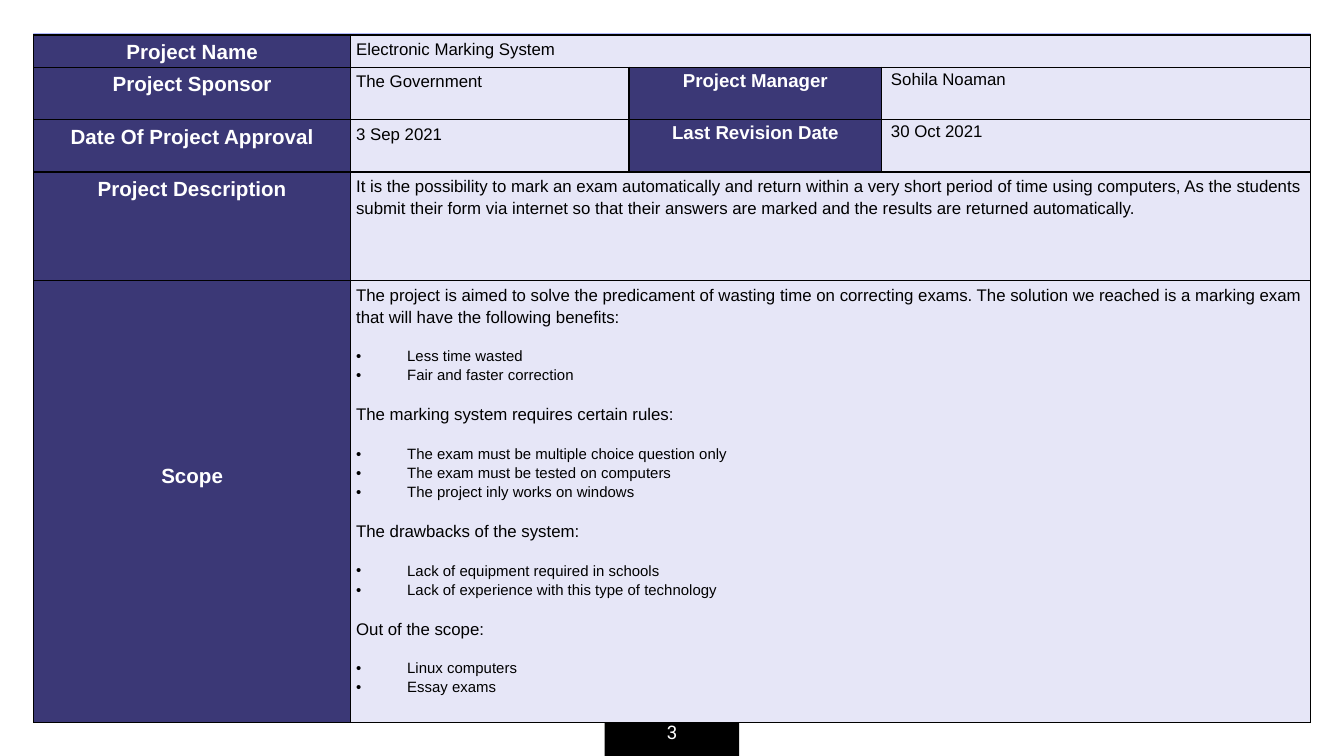
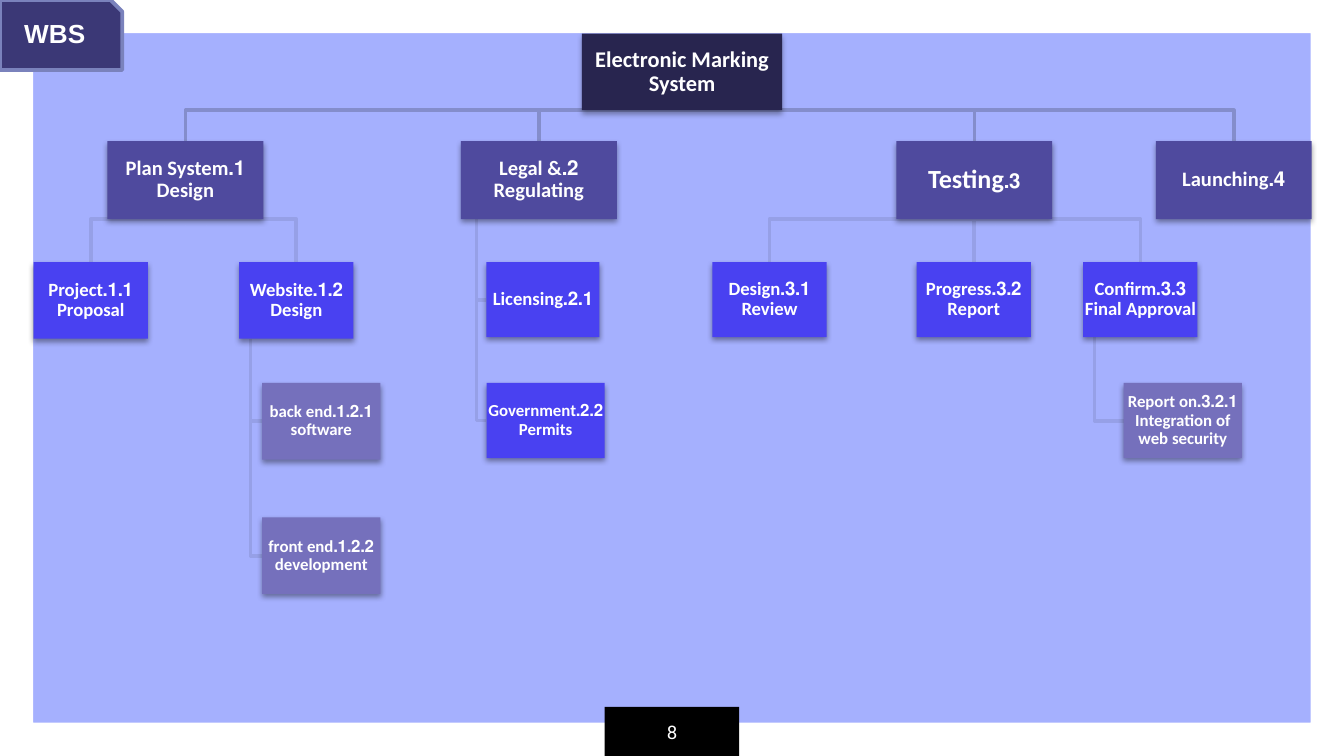
"""Builds the project charter and work breakdown slides of the marking system deck."""
import pptx
import pptx.util
import pptx.dml.color
import pptx.enum.shapes
import pptx.enum.text
import pptx.oxml
import pptx.oxml.ns
import lxml.etree

Inches, Pt = pptx.util.Inches, pptx.util.Pt
RGB = pptx.dml.color.RGBColor
SHAPE = pptx.enum.shapes.MSO_SHAPE
ALIGN = pptx.enum.text.PP_ALIGN
ANCHOR = pptx.enum.text.MSO_ANCHOR
qn = pptx.oxml.ns.qn

WIDTH = 10
HEIGHT = WIDTH * 9 / 16
WHITE, BLACK = RGB(255, 255, 255), RGB(0, 0, 0)
PERIWINKLE = RGB(0xA5, 0xB0, 0xFE)
INDIGO = RGB(0x3B, 0x38, 0x76)
LAVENDER = RGB(0xE6, 0xE6, 0xF7)
TAB_EDGE = RGB(0x7A, 0x82, 0xBC)
TRUNK, BRANCH = RGB(0x84, 0x8D, 0xCB), RGB(0x96, 0xA0, 0xE7)

COLUMNS = (2.36, 2.07, 1.88, 3.19)
ROWS = (0.24, 0.39, 0.39, 0.81, 3.29)
SCOPE = (
    ("The project is aimed to solve the predicament of wasting time on correcting exams. "
     "The solution we reached is a marking exam that will have the following benefits:",
     ("Less time wasted", "Fair and faster correction")),
    ("The marking system requires certain rules:",
     ("The exam must be multiple choice question only",
      "The exam must be tested on computers",
      "The project inly works on windows")),
    ("The drawbacks of the system:",
     ("Lack of equipment required in schools",
      "Lack of experience with this type of technology")),
    ("Out of the scope:", ("Linux computers", "Essay exams")),
)
CHARTER = (
    ("Project Name", "Electronic Marking System"),
    ("Project Sponsor", "The Government", "Project Manager", "Sohila Noaman"),
    ("Date Of Project Approval", "3 Sep 2021", "Last Revision Date", "30 Oct 2021"),
    ("Project Description",
     "It is the possibility to mark an exam automatically and return within a very short "
     "period of time using computers, As the students submit their form via internet so that "
     "their answers are marked and the results are returned automatically."),
    ("Scope", SCOPE),
)

ROW_TOPS = (0.25, 1.05, 1.95, 2.85, 3.85)
LEVELS = (
    {"width": 1.49, "height": 0.57, "size": 12, "fill": RGB(0x28, 0x25, 0x4F)},
    {"width": 1.16, "height": 0.58, "size": 11, "fill": RGB(0x4F, 0x4A, 0x9E)},
    {"width": 0.85, "height": 0.56, "size": 10, "fill": RGB(0x49, 0x41, 0xF1)},
    {"width": 0.88, "height": 0.56, "size": 9, "fill": RGB(0x75, 0x70, 0xBC)},
)
TALL = {"height": 0.57}
HANGING_PARENTS = ("2", "1.2", "3.3")
TASKS = {
    "": ("Electronic Marking System", 4.33, 0, {}),
    "1": ("Plan System Design", 0.8, 1, {}),
    "1.1": ("Project Proposal", 0.25, 2, TALL),
    "1.2": ("Website Design", 1.78, 2, TALL),
    "1.2.1": ("back end software", 1.95, 3, TALL),
    "1.2.2": ("front end development", 1.95, 4, TALL),
    "2": ("Legal & Regulating", 3.43, 1, {}),
    "2.1": ("Licensing", 3.62, 2, {"width": 0.84}),
    "2.2": ("Government Permits", 3.62, 3, {"width": 0.88, "size": 9}),
    "3": ("Testing", 6.67, 1, {"label_size": 14}),
    "3.1": ("Design Review", 5.3, 2, {}),
    "3.2": ("Progress Report", 6.82, 2, {}),
    "3.3": ("Confirm Final Approval", 8.06, 2, {}),
    "3.2.1": ("Report on Integration of web security", 8.36, 3, {"parent": "3.3"}),
    "4": ("Launching", 8.6, 1, {}),
}


def apply(target, **values):
    for attribute, value in values.items():
        setattr(target, attribute, value)


def inset(holder, left, top, right, bottom):
    apply(holder, margin_left=Inches(left), margin_top=Inches(top),
          margin_right=Inches(right), margin_bottom=Inches(bottom))


def write(paragraph, text, size, color, font="Arial", bold=False):
    run = paragraph.add_run()
    run.text = text
    apply(run.font, name=font, size=Pt(size), bold=bold)
    run.font.color.rgb = color


def add_block(slide, preset, box, fill, edge=None):
    block = slide.shapes.add_shape(preset, *map(Inches, box))
    block.shadow.inherit = False
    block.fill.solid()
    block.fill.fore_color.rgb = fill
    if edge:
        block.line.color.rgb = edge
        block.line.width = Pt(2)
    else:
        block.line.fill.background()
    return block


def add_slide(deck, layout, number):
    slide = deck.slides.add_slide(deck.slide_layouts[layout])
    slide.background.fill.solid()
    slide.background.fill.fore_color.rgb = PERIWINKLE
    frame = add_block(slide, SHAPE.FRAME, (0, 0, WIDTH, HEIGHT), WHITE)
    frame.adjustments[0] = 0.044
    page = add_block(slide, SHAPE.RECTANGLE, (4.5, 5.26, 1, 0.37), BLACK)
    inset(page.text_frame, 0.1, 0.1, 0.1, 0.1)
    page.text_frame.vertical_anchor = ANCHOR.MIDDLE
    line = page.text_frame.paragraphs[0]
    line.alignment = ALIGN.CENTER
    write(line, str(number), 10, WHITE, "Roboto")
    return slide


def add_bullet(paragraph):
    properties = paragraph._p.get_or_add_pPr()
    properties.set("marL", str(Inches(0.38)))
    properties.set("indent", str(-Inches(0.38)))
    lxml.etree.SubElement(properties, qn("a:buFont")).set("typeface", "Arial")
    lxml.etree.SubElement(properties, qn("a:buChar")).set("char", "•")


def outline(cell):
    properties = cell._tc.get_or_add_tcPr()
    for place, side in enumerate(("lnL", "lnR", "lnT", "lnB")):
        properties.insert(place, pptx.oxml.parse_xml(
            f'<a:{side} {pptx.oxml.ns.nsdecls("a")} w="{Pt(0.75)}"><a:solidFill>'
            f'<a:srgbClr val="{BLACK}"/></a:solidFill></a:{side}>'))


def fill_cell(cell, content, column):
    heading = column % 2 == 0
    cell.fill.solid()
    cell.fill.fore_color.rgb = INDIGO if heading else LAVENDER
    if column < 2:
        inset(cell, 0.04, 0.02, 0.04, 0.02)
    else:
        inset(cell, 0 if heading else 0.07, 0, 0, 0)
    if isinstance(content, str):
        lines = [(content, False, True)]
    else:
        lines = []
        for statement, points in content:
            lines.append((statement, False, True))
            lines += [(point, True, point == points[-1]) for point in points]
    for index, (text, bulleted, last) in enumerate(lines):
        frame = cell.text_frame
        paragraph = frame.add_paragraph() if index else frame.paragraphs[0]
        apply(paragraph, line_spacing=1.15, space_after=Pt(10 if last else 0),
              alignment=ALIGN.CENTER if heading else ALIGN.LEFT)
        if bulleted:
            add_bullet(paragraph)
        size = (10 if column else 11) if heading else 8 if bulleted else 9
        write(paragraph, text, size, WHITE if heading else BLACK, bold=heading)


def build_charter(deck):
    slide = add_slide(deck, 6, 3)
    table = slide.shapes.add_table(
        len(ROWS), len(COLUMNS), Inches(0.25), Inches(0.26),
        Inches(sum(COLUMNS)), Inches(sum(ROWS))).table
    apply(table, first_row=False, horz_banding=False)
    for column, width in zip(table.columns, COLUMNS):
        column.width = Inches(width)
    for index, (height, entries) in enumerate(zip(ROWS, CHARTER)):
        table.rows[index].height = Inches(height)
        if len(entries) == 2:
            table.cell(index, 1).merge(table.cell(index, 3))
        for column, content in enumerate(entries):
            fill_cell(table.cell(index, column), content, column)
        for column in range(len(COLUMNS)):
            outline(table.cell(index, column))
    scope_heading = table.cell(len(ROWS) - 1, 0)
    apply(scope_heading, vertical_anchor=ANCHOR.MIDDLE, margin_bottom=Inches(0.43))


def cast_shadow(block, alpha, distance):
    effects = block._element.spPr.find(qn("a:effectLst"))
    effects.append(pptx.oxml.parse_xml(
        f'<a:outerShdw {pptx.oxml.ns.nsdecls("a")} blurRad="{Pt(3.1)}" dist="{Pt(distance)}" '
        f'dir="5400000" rotWithShape="0"><a:srgbClr val="{BLACK}">'
        f'<a:alpha val="{alpha * 1000}"/></a:srgbClr></a:outerShdw>'))


def add_link(slide, points, color):
    start, *rest = [tuple(map(Inches, point)) for point in points]
    builder = slide.shapes.build_freeform(*start)
    builder.add_line_segments(rest, close=False)
    link = builder.convert_to_shape()
    link.shadow.inherit = False
    link.fill.background()
    link.line.color.rgb = color
    link.line.width = Pt(2)


def place_tasks():
    placed = {}
    for key, (label, left, row, changes) in TASKS.items():
        level = key.count(".") + 1 if key else 0
        placed[key] = {"label": label, "left": left, "top": ROW_TOPS[row],
                       "parent": key.rpartition(".")[0], **LEVELS[level], **changes}
    return placed


def link_points(parent, child, hanging):
    bottom = parent["top"] + parent["height"]
    if hanging:
        stem = parent["left"] + parent["width"] * 0.1
        middle = child["top"] + child["height"] / 2
        return (stem, bottom), (stem, middle), (child["left"], middle)
    start, end = (task["left"] + task["width"] / 2 for task in (parent, child))
    return (start, bottom), (end, bottom), (end, child["top"])


def add_task(slide, key, task):
    box = [task[side] for side in ("left", "top", "width", "height")]
    block = add_block(slide, SHAPE.RECTANGLE, box, task["fill"])
    cast_shadow(block, *((38, 1.6) if key else (35, 1.8)))
    frame = block.text_frame
    inset(frame, 0.01, 0.01, 0.01, 0.01)
    apply(frame, word_wrap=True, vertical_anchor=ANCHOR.MIDDLE)
    paragraph = frame.paragraphs[0]
    apply(paragraph, alignment=ALIGN.CENTER, line_spacing=0.9)
    paragraph._p.get_or_add_pPr().set("rtl", "1")
    number = f"{key}." if key else ""
    if "label_size" in task:
        write(paragraph, number, task["size"], WHITE, "Calibri", True)
        write(paragraph, task["label"], task["label_size"], WHITE, "Calibri", True)
    else:
        write(paragraph, number + task["label"], task["size"], WHITE, "Calibri", True)


def build_breakdown(deck):
    slide = add_slide(deck, 5, 8)
    tab = add_block(slide, SHAPE.SNIP_1_RECTANGLE, (0, 0, 0.91, 0.52), INDIGO, TAB_EDGE)
    tab.adjustments[0] = 0.167
    tasks = place_tasks()
    for key, task in tasks.items():
        if key:
            parent = task["parent"]
            points = link_points(tasks[parent], task, parent in HANGING_PARENTS)
            add_link(slide, points, BRANCH if parent else TRUNK)
    for key, task in tasks.items():
        add_task(slide, key, task)
    title = slide.shapes.title
    apply(title, left=Inches(0.08), top=Inches(0.08), width=Inches(0.76), height=Inches(0.33))
    apply(title.text_frame, vertical_anchor=ANCHOR.TOP, word_wrap=True,
          auto_size=pptx.enum.text.MSO_AUTO_SIZE.NONE)
    heading = title.text_frame.paragraphs[0]
    heading.alignment = ALIGN.LEFT
    write(heading, "WBS", 14, WHITE, bold=True)
    slide.shapes._spTree.append(title._element)


def main():
    deck = pptx.Presentation()
    apply(deck, slide_width=Inches(WIDTH), slide_height=Inches(HEIGHT))
    build_charter(deck)
    build_breakdown(deck)
    deck.save("out.pptx")


if __name__ == "__main__":
    main()
